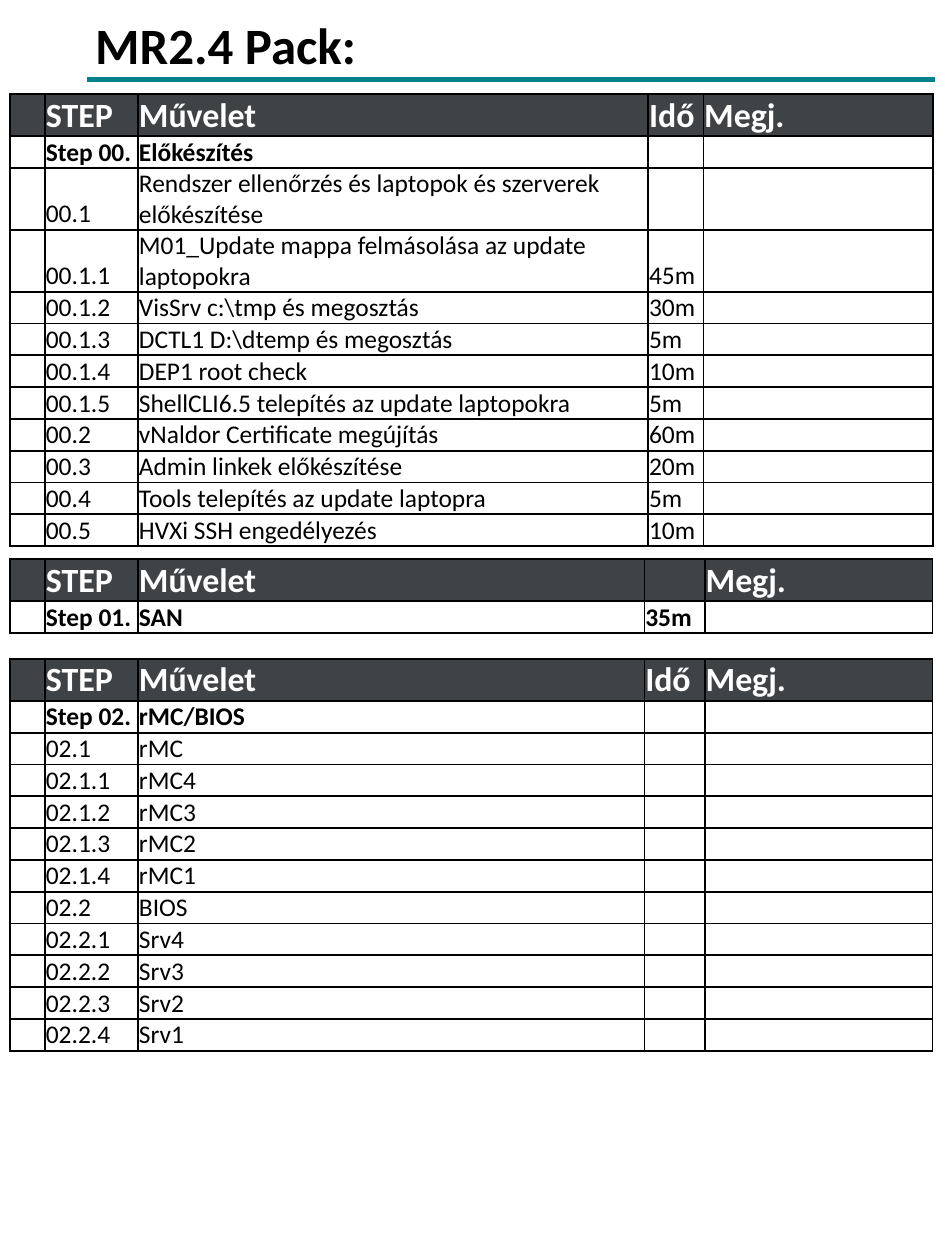
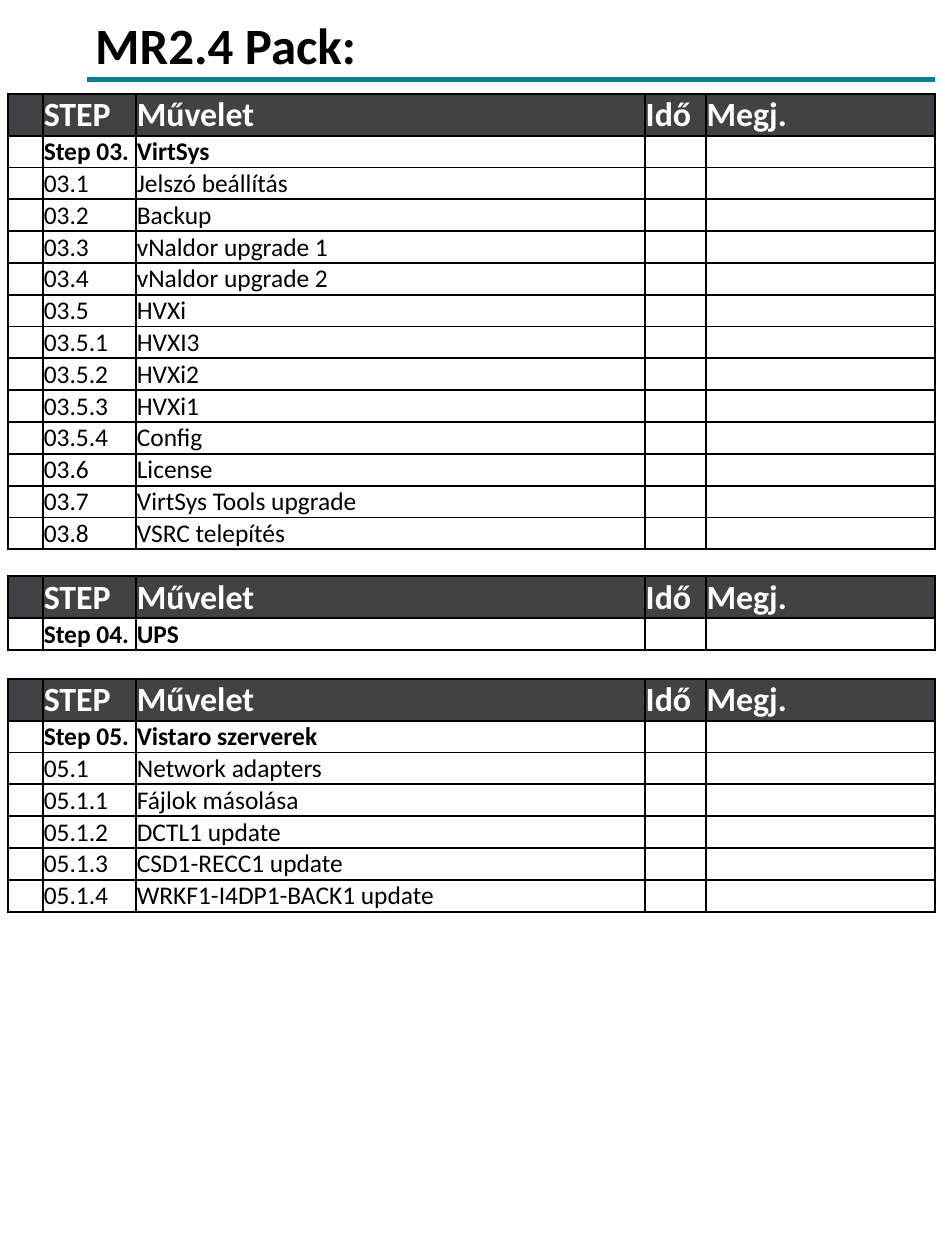
from lxml.etree import SubElement
from pptx import Presentation
from pptx.dml.color import RGBColor
from pptx.enum.shapes import MSO_CONNECTOR
from pptx.enum.text import MSO_ANCHOR
from pptx.oxml.ns import qn
from pptx.util import Pt

COLORS = {"ink": "000000", "accent": "00818C", "header": "3F4346", "light": "FFFFFF"}
FONT = "Calibri"
HEADER_HEIGHT, ROW_HEIGHT = 19.8, 15
HEADINGS = ("STEP", "Művelet", "Idő", "Megj.")

# Column widths: marker, step, operation, time, note
NARROW_TIME = (16.5, 43.9, 240.5, 26, 108)
WIDE_TIME = (16.5, 43.9, 238.7, 28.5, 107.3)
FULL_WIDTH = (16.5, 43.9, 239.9, 28.7, 108)

# Rows: step, operation and, where known, time
PREPARATION = [
    ("Step 00.", "Előkészítés"),
    ("00.1", "Rendszer ellenőrzés és laptopok és szerverek előkészítése"),
    ("00.1.1", "M01_Update mappa felmásolása az update laptopokra", "45m"),
    ("00.1.2", "VisSrv c:\\tmp és megosztás", "30m"),
    ("00.1.3", "DCTL1 D:\\dtemp és megosztás", "5m"),
    ("00.1.4", "DEP1 root check", "10m"),
    ("00.1.5", "ShellCLI6.5 telepítés az update laptopokra", "5m"),
    ("00.2", "vNaldor Certificate megújítás", "60m"),
    ("00.3", "Admin linkek előkészítése", "20m"),
    ("00.4", "Tools telepítés az update laptopra", "5m"),
    ("00.5", "HVXi SSH engedélyezés", "10m"),
]
STORAGE = [("Step 01.", "SAN", "35m")]
FIRMWARE = [
    ("Step 02.", "rMC/BIOS"),
    ("02.1", "rMC"),
    ("02.1.1", "rMC4"),
    ("02.1.2", "rMC3"),
    ("02.1.3", "rMC2"),
    ("02.1.4", "rMC1"),
    ("02.2", "BIOS"),
    ("02.2.1", "Srv4"),
    ("02.2.2", "Srv3"),
    ("02.2.3", "Srv2"),
    ("02.2.4", "Srv1"),
]
VIRTUALIZATION = [
    ("Step 03.", "VirtSys"),
    ("03.1", "Jelszó beállítás"),
    ("03.2", "Backup"),
    ("03.3", "vNaldor upgrade 1"),
    ("03.4", "vNaldor upgrade 2"),
    ("03.5", "HVXi"),
    ("03.5.1", "HVXI3"),
    ("03.5.2", "HVXi2"),
    ("03.5.3", "HVXi1"),
    ("03.5.4", "Config"),
    ("03.6", "License"),
    ("03.7", "VirtSys Tools upgrade"),
    ("03.8", "VSRC telepítés"),
]
POWER = [("Step 04.", "UPS")]
SERVERS = [
    ("Step 05.", "Vistaro szerverek"),
    ("05.1", "Network adapters"),
    ("05.1.1", "Fájlok másolása"),
    ("05.1.2", "DCTL1 update"),
    ("05.1.3", "CSD1-RECC1 update"),
    ("05.1.4", "WRKF1-I4DP1-BACK1 update"),
]


def write_text(text_frame, text, size=12, bold=False, color="ink"):
    paragraph = text_frame.paragraphs[0]
    if not text:
        # An empty cell still needs a small font to keep its row low
        end_format = SubElement(paragraph._p, qn("a:endParaRPr"))
        end_format.set("sz", str(size * 100))
        return
    run = paragraph.add_run()
    run.text = text
    run.font.name = FONT
    run.font.size = Pt(size)
    run.font.bold = bold
    run.font.color.rgb = RGBColor.from_string(COLORS[color])


class Deck:
    def __init__(self, presentation):
        self.presentation = presentation
        self.slide = None

    def add_slide(self, title):
        layout = self.presentation.slide_layouts[6]
        self.slide = self.presentation.slides.add_slide(layout)
        self.add_title(title)
        self.add_rule(41, 440.6, 37.4)

    def add_title(self, title):
        box = self.slide.shapes.add_textbox(Pt(37.8), Pt(2.8), Pt(138), Pt(36))
        box.text_frame.word_wrap = False
        write_text(box.text_frame, title, size=24, bold=True)

    def add_rule(self, left, right, top):
        rule = self.slide.shapes.add_connector(
            MSO_CONNECTOR.STRAIGHT, Pt(left), Pt(top), Pt(right), Pt(top))
        rule.line.color.rgb = RGBColor.from_string(COLORS["accent"])
        rule.line.width = Pt(2.25)
        SubElement(rule._element.spPr, qn("a:effectLst"))

    def add_steps(self, left, top, widths, rows, headings=HEADINGS):
        height = HEADER_HEIGHT + ROW_HEIGHT * len(rows)
        frame = self.slide.shapes.add_table(
            len(rows) + 1, len(widths), Pt(left), Pt(top), Pt(sum(widths)), Pt(height))
        table = frame.table
        table.first_row = table.horz_banding = False
        for column, width in zip(table.columns, widths):
            column.width = Pt(width)
        for row_index, values in enumerate([headings, *rows]):
            is_header = row_index == 0
            table.rows[row_index].height = Pt(HEADER_HEIGHT if is_header else ROW_HEIGHT)
            texts = ("", *values, "", "")[:len(widths)]
            for column_index, text in enumerate(texts):
                cell = table.cell(row_index, column_index)
                self.style_cell(cell, is_header)
                write_text(cell.text_frame, text,
                           size=16 if is_header and text else 12,
                           bold=row_index < 2,
                           color="light" if is_header else "ink")

    def style_cell(self, cell, is_header):
        cell.margin_left = cell.margin_right = cell.margin_top = Pt(0.36)
        cell.margin_bottom = Pt(0)
        cell.vertical_anchor = MSO_ANCHOR.BOTTOM
        properties = cell._tc.get_or_add_tcPr()
        for side in ("a:lnL", "a:lnR", "a:lnT", "a:lnB"):
            border = SubElement(properties, qn(side), w=str(Pt(1)))
            fill = SubElement(border, qn("a:solidFill"))
            SubElement(fill, qn("a:srgbClr"), val=COLORS["ink"])
        if is_header:
            cell.fill.solid()
            cell.fill.fore_color.rgb = RGBColor.from_string(COLORS["header"])
        else:
            cell.fill.background()


def main():
    presentation = Presentation()
    presentation.slide_width = Pt(445.5)
    presentation.slide_height = Pt(594)
    deck = Deck(presentation)

    # Preparation, storage and firmware
    deck.add_slide("MR2.4 Pack:")
    deck.add_steps(4.8, 44.4, NARROW_TIME, PREPARATION)
    deck.add_steps(4.8, 263.6, WIDE_TIME, STORAGE, ("STEP", "Művelet", "", "Megj."))
    deck.add_steps(4.8, 310.6, WIDE_TIME, FIRMWARE)

    # Virtualization, power and servers
    deck.add_slide("MR2.4 Pack:")
    deck.add_steps(3.8, 44.2, FULL_WIDTH, VIRTUALIZATION)
    deck.add_steps(3.8, 271.6, FULL_WIDTH, POWER)
    deck.add_steps(3.8, 320, FULL_WIDTH, SERVERS)

    presentation.save("out.pptx")


if __name__ == "__main__":
    main()
